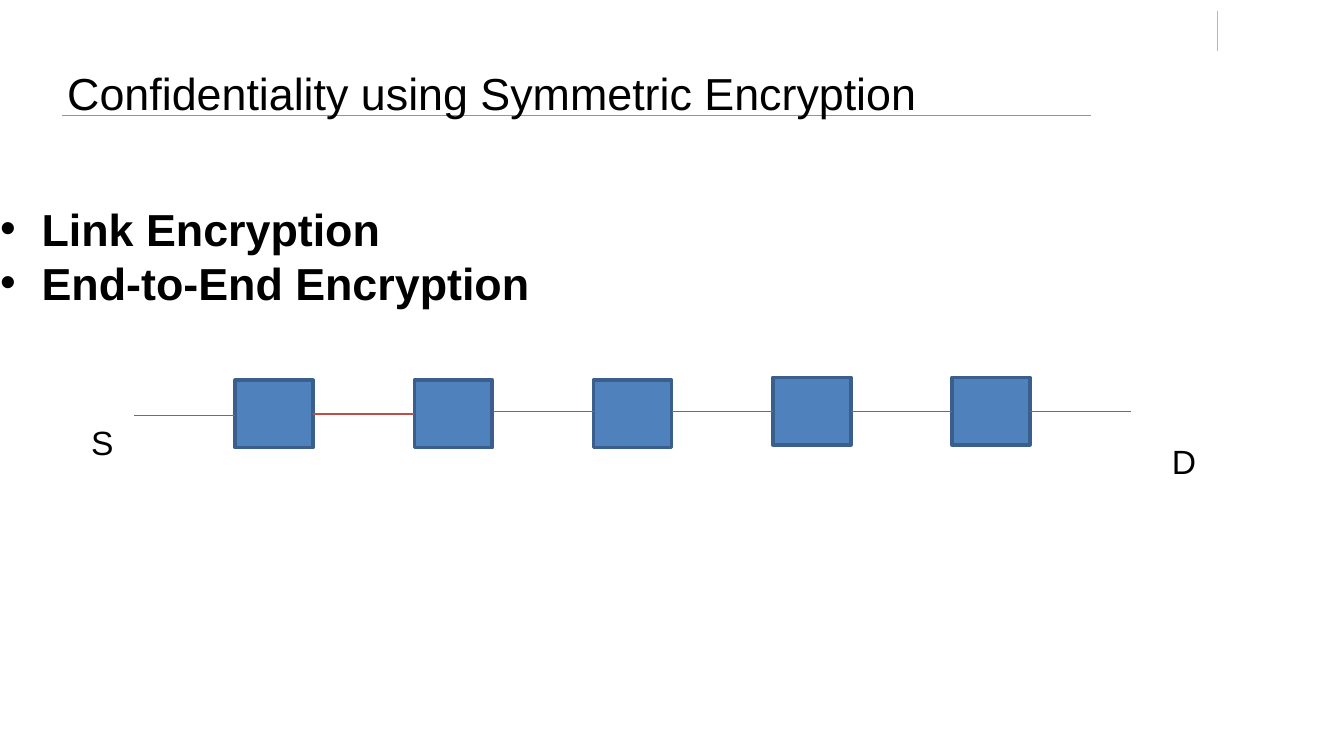
from typing import NamedTuple

from lxml.etree import SubElement
from pptx import Presentation
from pptx.dml.color import RGBColor
from pptx.enum.shapes import MSO_CONNECTOR as Connector, MSO_SHAPE as Shape
from pptx.enum.text import MSO_ANCHOR as Anchor, MSO_AUTO_SIZE as AutoSize, PP_ALIGN as Align
from pptx.oxml.ns import qn
from pptx.util import Inches, Pt

LEFT, RIGHT = 1, 3
PAGE_WIDTH = 10
PAGE_HEIGHT = PAGE_WIDTH * 9 / 16
SIDE, HEIGHT, GAP = 0.58, 0.5, 0.75
FIRST_LEFT, STEP = 1.75, 4 / 3
BLACK, RED = "000000", "BF4C48"


class Rule(NamedTuple):
    start: tuple[float, float]
    end: tuple[float, float]
    color: str


class Label(NamedTuple):
    text: str
    left: float
    top: float
    width: float


RULES = [
    Rule((9.06, 0.08), (9.06, 0.38), "B7B7B7"),
    Rule((0.46, 0.86), (8.12, 0.86), "EA7F26"),
]
NODE_TOPS = [2.83, 2.83, 2.83, 2.81, 2.81]
LINK_HEIGHTS = [3.09, 3.08, 3.06, 3.06, 3.06, 3.06]
LABELS = [Label("S", 0.58, 3.09, 0.37), Label("D", 8.62, 3.23, 0.38)]
TOPICS = ["Link Encryption", "End-to-End Encryption"]


def rgb(value: str) -> RGBColor:
    """Turn a hex string into a colour."""
    return RGBColor.from_string(value)


def place(shape, left: float, top: float, width: float, height: float) -> None:
    """Move and size a shape in inches."""
    shape.left, shape.top = Inches(left), Inches(top)
    shape.width, shape.height = Inches(width), Inches(height)


def clear_insets(frame) -> None:
    """Remove the inner margins and automatic fitting of a text frame."""
    frame.margin_left = frame.margin_right = frame.margin_top = frame.margin_bottom = 0
    frame.auto_size = AutoSize.NONE
    frame.word_wrap = True


def add_span(para, text: str, size: float, bold: bool = False) -> None:
    """Add one formatted run to a paragraph."""
    span = para.add_run()
    span.text = text
    span.font.name = "Arial"
    span.font.size = Pt(size)
    span.font.bold = bold
    span.font.color.rgb = rgb(BLACK)


def add_bullet(para) -> None:
    """Give a paragraph a hanging round bullet."""
    settings = para._p.get_or_add_pPr()
    settings.set("marL", str(Inches(0.31)))
    settings.set("indent", str(Inches(-0.31)))
    SubElement(settings, qn("a:buChar")).set("char", "•")


def draw_line(page, start: tuple[float, float], end: tuple[float, float], color: str):
    """Draw a thin straight line without a shadow."""
    line = page.shapes.add_connector(Connector.STRAIGHT, *map(Inches, start + end))
    line.line.color.rgb = rgb(color)
    line.line.width = Pt(0.75)
    SubElement(line._element.spPr, qn("a:effectLst"))
    return line


def draw_node(page, left: float, top: float):
    """Draw one network node."""
    node = page.shapes.add_shape(
        Shape.RECTANGLE, Inches(left), Inches(top), Inches(SIDE), Inches(HEIGHT)
    )
    node.shadow.inherit = False
    node.fill.solid()
    node.fill.fore_color.rgb = rgb("4F81BD")
    node.line.color.rgb = rgb("3A5F8C")
    node.line.width = Pt(2)
    return node


def is_middle(node, height: float) -> bool:
    """Tell whether a height meets the middle of a node's side."""
    return abs(node.top + node.height / 2 - Inches(height)) < Inches(0.005)


def draw_links(page, nodes: list) -> None:
    """Link the nodes in a chain, with a loose end on each side."""
    for index, height in enumerate(LINK_HEIGHTS):
        right = FIRST_LEFT + index * STEP
        link = draw_line(page, (right - GAP, height), (right, height), RED)
        if index > 0 and is_middle(nodes[index - 1], height):
            link.begin_connect(nodes[index - 1], RIGHT)
        if index < len(nodes) and is_middle(nodes[index], height):
            link.end_connect(nodes[index], LEFT)


def draw_label(page, label: Label) -> None:
    """Draw the name of an end point."""
    box = page.shapes.add_textbox(0, 0, 0, 0)
    place(box, label.left, label.top, label.width, 0.4)
    box.text_frame.word_wrap = False
    box.text_frame.auto_size = AutoSize.SHAPE_TO_FIT_TEXT
    add_span(box.text_frame.paragraphs[0], label.text, 18)


def fill_title(title) -> None:
    """Write the slide title."""
    place(title, 0.5, 0.22, 9, 0.94)
    clear_insets(title.text_frame)
    title.text_frame.vertical_anchor = Anchor.MIDDLE
    para = title.text_frame.paragraphs[0]
    para.alignment = Align.LEFT
    add_span(para, "Confidentiality using Symmetric Encryption", 24)


def fill_body(body) -> None:
    """Write the bulleted topics."""
    place(body, 0, 1.5, 8.62, 3.57)
    frame = body.text_frame
    clear_insets(frame)
    for index, topic in enumerate(TOPICS):
        para = frame.add_paragraph() if index else frame.paragraphs[0]
        add_bullet(para)
        para.space_before = Pt(0)
        add_span(para, topic, 24, bold=True)


def main() -> None:
    """Build the slide and save it."""
    deck = Presentation()
    deck.slide_width, deck.slide_height = Inches(PAGE_WIDTH), Inches(PAGE_HEIGHT)
    page = deck.slides.add_slide(deck.slide_layouts[1])
    for rule in RULES:
        line = draw_line(page, *rule)
        page.shapes._spTree.insert(2, line._element)
    fill_title(page.shapes.title)
    fill_body(page.placeholders[1])
    nodes = [
        draw_node(page, FIRST_LEFT + index * STEP, top)
        for index, top in enumerate(NODE_TOPS)
    ]
    draw_links(page, nodes)
    for label in LABELS:
        draw_label(page, label)
    deck.save("out.pptx")


if __name__ == "__main__":
    main()
